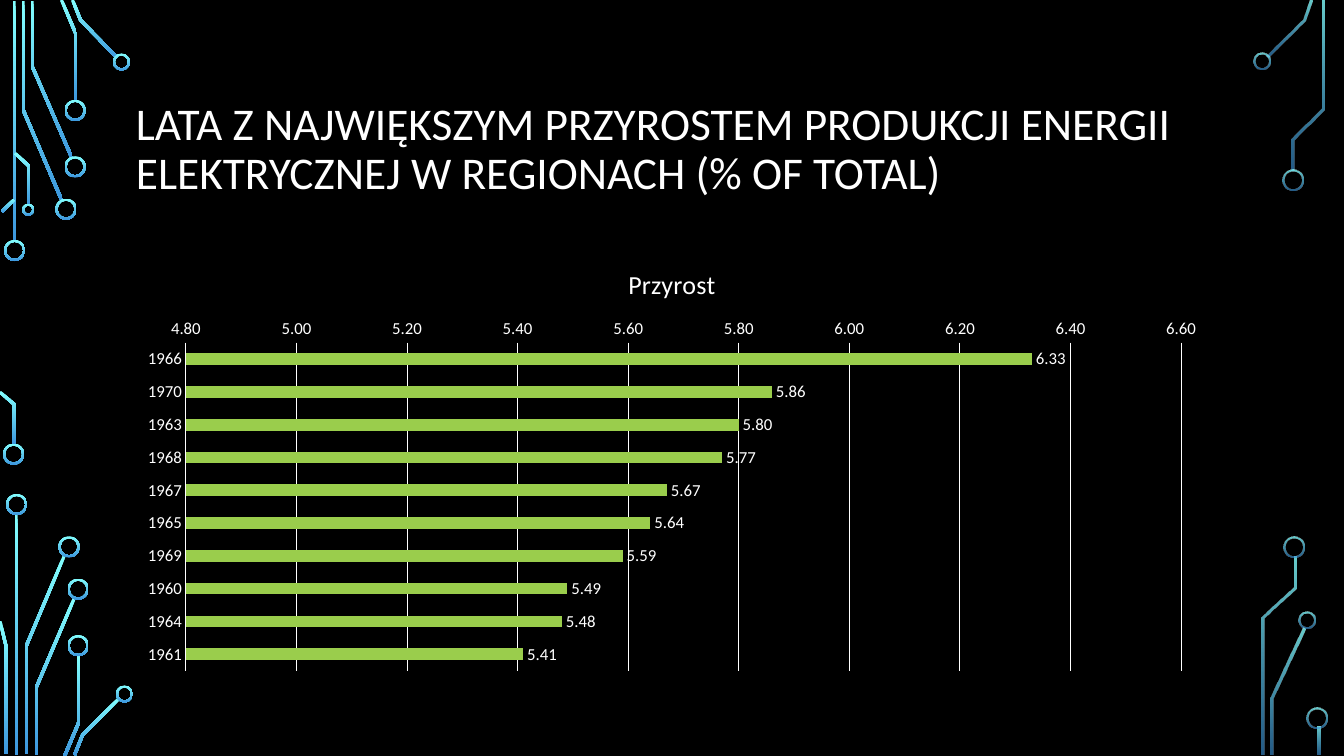
from math import hypot

from lxml import etree
from pptx import Presentation
from pptx.chart.data import CategoryChartData
from pptx.dml.color import RGBColor
from pptx.enum.chart import XL_CHART_TYPE, XL_LABEL_POSITION, XL_TICK_MARK
from pptx.enum.shapes import MSO_SHAPE
from pptx.enum.text import MSO_ANCHOR
from pptx.oxml.ns import qn
from pptx.util import Pt

BAR = XL_CHART_TYPE.BAR_CLUSTERED
OUTSIDE_END = XL_LABEL_POSITION.OUTSIDE_END
NO_TICK = XL_TICK_MARK.NONE
DONUT = MSO_SHAPE.DONUT
MIDDLE = MSO_ANCHOR.MIDDLE

PX = 9144
FONT = "Calibri"
COLORS = {
    "background": "000000",
    "text": "FFFFFF",
    "bar": "9ACD4C",
    "trace_top": "82FFFF",
    "trace_bottom": "3D97DE",
}
TRACE_WIDTH = 3
RING_WIDTH = 2
SOLID = (100, 100)
FADED = (80, 60)

LEFT_TRACES = [
    [(14, 1), (14, 240)],
    [(23, 1), (23, 109), (61, 198)],
    [(32, 1), (32, 66), (71, 156)],
    [(61, 0), (75, 33), (75, 100)],
    [(72, 0), (80, 20), (116, 57)],
    [(2, 210), (14, 198)],
    [(0, 389), (14, 401), (14, 441)],
    [(15, 152), (29, 165), (29, 203)],
    [(16, 510), (16, 749)],
    [(26, 748), (26, 641), (64, 551)],
    [(6, 748), (6, 641), (0, 616)],
    [(36, 749), (36, 682), (74, 593)],
    [(64, 750), (78, 717), (78, 650)],
    [(74, 749), (82, 729), (118, 693)],
]
LEFT_RINGS = [
    (4, 238, 21), (3, 440, 21), (55, 197, 21), (64, 155, 21),
    (64, 99, 21), (112, 53, 17), (22, 202, 12), (6, 490, 21),
    (58, 532, 21), (67, 574, 21), (67, 630, 21), (115, 680, 17),
]
RIGHT_TRACES = [
    [(1257, 56), (1293, 20), (1300, 0)],
    [(1282, 169), (1282, 138), (1312, 108), (1312, 1)],
    [(1262, 749), (1262, 693), (1293, 623)],
    [(1253, 749), (1253, 613), (1284, 583), (1284, 552)],
    [(1308, 721), (1308, 749)],
]
RIGHT_RINGS = [
    (1243, 52, 17), (1272, 168, 21), (1288, 607, 17),
    (1273, 532, 21), (1296, 702, 21),
]
GROWTH = {
    "1966": 6.33, "1970": 5.86, "1963": 5.80, "1968": 5.77, "1967": 5.67,
    "1965": 5.64, "1969": 5.59, "1960": 5.49, "1964": 5.48, "1961": 5.41,
}


def px(*lengths):
    return [round(n * PX) for n in lengths]


def rgb(name):
    return RGBColor.from_string(COLORS[name])


def set_font(font, size, color="text"):
    font.name = FONT
    font.size = Pt(size)
    font.bold = False
    font.color.rgb = rgb(color)


def add_text(slide, text, *, box, size, color="text", spacing=1.0, anchor=MIDDLE):
    tf = slide.shapes.add_textbox(*px(*box)).text_frame
    tf.word_wrap = True
    tf.vertical_anchor = anchor
    p = tf.paragraphs[0]
    p.line_spacing = spacing
    r = p.add_run()
    r.text = text
    set_font(r.font, size, color)


def style_circuit(sp, alphas):
    sp.shadow.inherit = False
    sp.line.fill.background()
    sp.fill.gradient()
    sp.fill.gradient_angle = 270
    for stop, name, alpha in zip(sp.fill.gradient_stops, ("trace_top", "trace_bottom"), alphas):
        stop.color.rgb = rgb(name)
        if alpha < 100:
            clr = stop.color._xFill.find(qn("a:srgbClr")) if hasattr(stop.color, "_xFill") else None
            if clr is None:
                clr = [c for c in sp._element.iter(qn("a:srgbClr")) if c.get("val") == COLORS[name]][0]
            etree.SubElement(clr, qn("a:alpha"), val=str(alpha * 1000))


def ribbon(points):
    normals = []
    for (x1, y1), (x2, y2) in zip(points, points[1:]):
        length = hypot(x2 - x1, y2 - y1)
        normals.append(((y1 - y2) / length, (x2 - x1) / length))
    before = normals[:1] + normals
    after = normals + normals[-1:]
    left, right = [], []
    for (x, y), (ax, ay), (bx, by) in zip(points, before, after):
        k = TRACE_WIDTH / 2 / (1 + ax * bx + ay * by)
        dx, dy = (ax + bx) * k, (ay + by) * k
        left.append(px(x + dx, y + dy))
        right.append(px(x - dx, y - dy))
    return left + right[::-1]


def add_trace(slide, points, alphas):
    start, *rest = ribbon(points)
    builder = slide.shapes.build_freeform(*start)
    builder.add_line_segments(rest, close=True)
    style_circuit(builder.convert_to_shape(), alphas)


def add_ring(slide, x, y, size, alphas):
    sp = slide.shapes.add_shape(DONUT, *px(x, y, size, size))
    sp.adjustments[0] = RING_WIDTH / size
    style_circuit(sp, alphas)


def add_circuit(slide, traces, rings, alphas):
    for points in traces:
        add_trace(slide, points, alphas)
    for ring in rings:
        add_ring(slide, *ring, alphas)


def style_axis(axis):
    axis.major_tick_mark = NO_TICK
    axis.minor_tick_mark = NO_TICK
    set_font(axis.tick_labels.font, 12)


def white_line(line):
    line.color.rgb = rgb("text")
    line.width = Pt(0.75)


def add_growth_chart(slide, name, values, box):
    data = CategoryChartData(number_format="0.00")
    data.categories = list(values)
    data.add_series(name, list(values.values()))
    chart = slide.shapes.add_chart(BAR, *px(*box), data).chart
    set_font(chart.font, 10)
    chart.has_legend = False
    chart.has_title = True
    chart.chart_title.include_in_layout = False
    r = chart.chart_title.text_frame.paragraphs[0].add_run()
    r.text = name
    set_font(r.font, 18.6)

    years, scale = chart.category_axis, chart.value_axis
    style_axis(years)
    years.reverse_order = True
    white_line(years.format.line)
    style_axis(scale)
    scale.minimum_scale, scale.maximum_scale, scale.major_unit = 4.8, 6.6, 0.2
    scale.format.line.fill.background()
    scale.has_major_gridlines = True
    white_line(scale.major_gridlines.format.line)
    scale.tick_labels.number_format = "0.00"
    scale.tick_labels.number_format_is_linked = False

    plot = chart.plots[0]
    plot.gap_width = 182
    plot.vary_by_categories = False
    series = plot.series[0]
    series.format.fill.solid()
    series.format.fill.fore_color.rgb = rgb("bar")
    labels = series.data_labels
    labels.show_value = True
    labels.position = OUTSIDE_END
    labels.number_format = "0.00"
    labels.number_format_is_linked = False
    set_font(labels.font, 12)


def main():
    prs = Presentation()
    prs.slide_width, prs.slide_height = px(1333, 750)
    slide = prs.slides.add_slide(prs.slide_layouts[6])
    slide.background.fill.solid()
    slide.background.fill.fore_color.rgb = rgb("background")
    add_circuit(slide, LEFT_TRACES, LEFT_RINGS, SOLID)
    add_circuit(slide, RIGHT_TRACES, RIGHT_RINGS, FADED)
    add_text(
        slide,
        "LATA Z NAJWIĘKSZYM PRZYROSTEM PRODUKCJI ENERGII ELEKTRYCZNEJ W REGIONACH (% OF TOTAL)",
        box=(125, 68, 1083, 162), size=32.4, spacing=0.9,
    )
    add_growth_chart(slide, "Przyrost", GROWTH, (125, 246, 1083, 428))
    prs.save("out.pptx")


if __name__ == "__main__":
    main()
